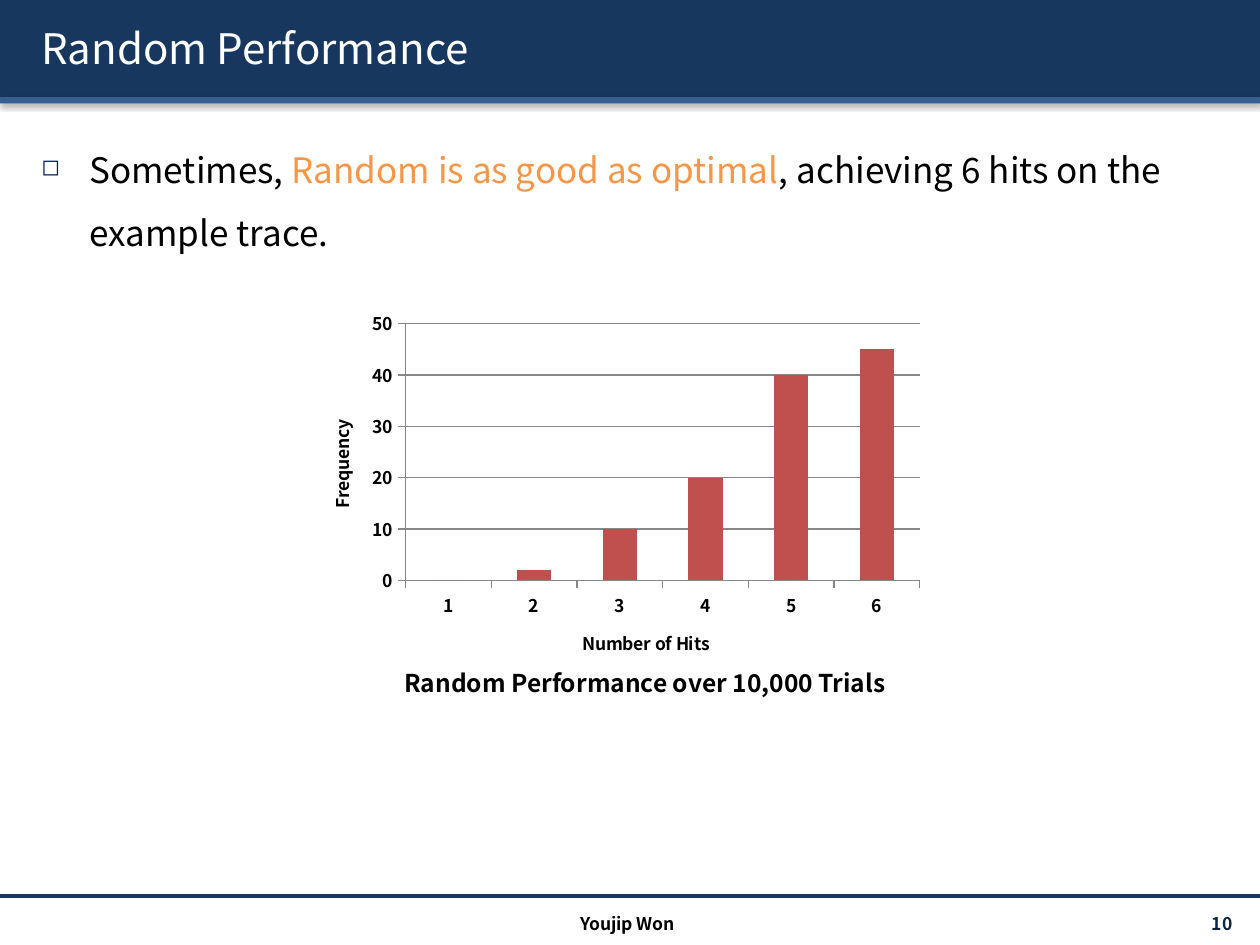
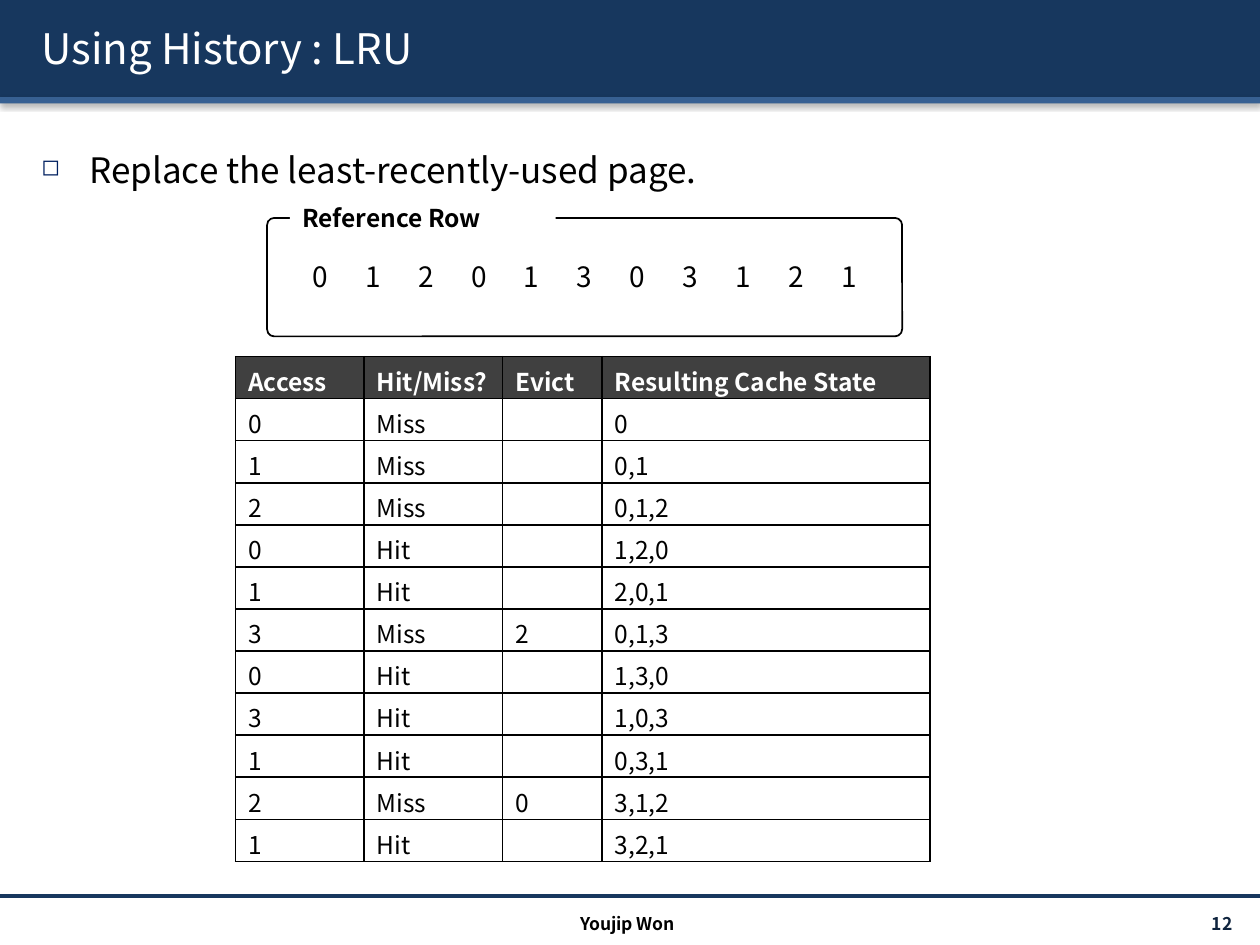
from dataclasses import dataclass
from lxml.etree import SubElement
from pptx import Presentation
from pptx.chart.data import CategoryChartData as ChartData
from pptx.dml.color import RGBColor as RGB
from pptx.enum.chart import XL_CHART_TYPE as Kind, XL_TICK_MARK as Tick
from pptx.enum.shapes import MSO_CONNECTOR as Link, MSO_SHAPE as Form
from pptx.enum.text import MSO_ANCHOR as Anchor, PP_ALIGN as Align
from pptx.oxml.ns import qn
from pptx.util import Inches, Pt


@dataclass(frozen=True)
class Theme:
    face: str = "Noto Sans CJK KR"
    navy: str = "17375E"
    blue: str = "376092"
    mark: str = "002060"
    page: str = "0F243E"
    accent: str = "F79646"
    bar: str = "C0504D"
    grid: str = "878787"
    head: str = "404040"
    black: str = "000000"
    white: str = "FFFFFF"
    title: int = 24
    body: int = 20
    digit: int = 16
    label: int = 14
    small: int = 10


class Deck:
    """Draws slide elements in one shared style."""

    def __init__(self, theme):
        self.theme = theme
        self.show = Presentation()
        self.show.slide_width, self.show.slide_height = Inches(10), Inches(7.5)

    def font(self, font, size, color=None, bold=False):
        font.name, font.size, font.bold = self.theme.face, Pt(size), bold
        font.color.rgb = RGB.from_string(color or self.theme.black)

    def glow(self, parent, blur, dist, angle, alpha):
        list_ = SubElement(parent, qn("a:effectLst"))
        outer = SubElement(list_, qn("a:outerShdw"), blurRad=str(Pt(blur)),
                           dist=str(Pt(dist)), dir=str(angle * 60000))
        tint = SubElement(outer, qn("a:srgbClr"), val=self.theme.black)
        SubElement(tint, qn("a:alpha"), val=str(alpha * 1000))

    def slide(self, title, number):
        t = self.theme
        self.page = self.show.slides.add_slide(self.show.slide_layouts[6])
        for top, high, color in ((0, 0.77, t.navy), (0.77, 0.05, t.blue)):
            band = self.box((0, top, 10, high), color)
            band._element.spPr.remove(band._element.spPr.find(qn("a:effectLst")))
            self.glow(band._element.spPr, 3.1, 1.6, 90, 38)
        self.rule((0, 7.11), (10, 7.11), t.navy, 2)
        para = self.text((0.23, 0.06, 9.61, 0.64), title, t.title, t.white,
                         anchor=Anchor.MIDDLE)
        self.glow(para.runs[0]._r.get_or_add_rPr(), 0, 2, 45, 100)
        self.text((8.71, 7.21, 1.17, 0.24), str(number), t.small, t.page, True,
                  Align.RIGHT, Anchor.MIDDLE)
        self.text((3.32, 7.2, 3.32, 0.24), "Youjip Won", t.small, bold=True,
                  align=Align.CENTER)

    def box(self, area, fill, line=None, form=Form.RECTANGLE):
        shape = self.page.shapes.add_shape(form, *map(Inches, area))
        shape.shadow.inherit = False
        shape.fill.solid()
        shape.fill.fore_color.rgb = RGB.from_string(fill)
        if line:
            shape.line.color.rgb = RGB.from_string(line)
            shape.line.width = Pt(1)
        else:
            shape.line.fill.background()
        return shape

    def rule(self, start, end, color, width):
        line = self.page.shapes.add_connector(
            Link.STRAIGHT, *map(Inches, start + end))
        line.line.color.rgb = RGB.from_string(color)
        line.line.width = Pt(width)
        SubElement(line._element.spPr, qn("a:effectLst"))

    def text(self, area, words, size, color=None, bold=False, align=Align.LEFT,
             anchor=Anchor.TOP, inset=0.1):
        frame = self.page.shapes.add_textbox(*map(Inches, area)).text_frame
        frame.word_wrap = True
        frame.vertical_anchor = anchor
        frame.margin_left = frame.margin_right = Inches(inset)
        para = frame.paragraphs[0]
        para.text, para.alignment = words, align
        self.font(para.font, size, color, bold)
        return para

    def label(self, area, words):
        self.box(area, self.theme.white)
        self.text(area, words, self.theme.label, bold=True)

    def bullet(self, *parts):
        t = self.theme
        para = self.text((0.23, 0.96, 9.61, 6.02), "", t.body)
        props = para._p.get_or_add_pPr()
        props.remove(props.find(qn("a:defRPr")))
        props.set("marL", str(Inches(0.38)))
        props.set("indent", str(-Inches(0.38)))
        tint = SubElement(props, qn("a:buClr"))
        SubElement(tint, qn("a:srgbClr"), val=t.mark)
        SubElement(props, qn("a:buSzPct"), val="65000")
        SubElement(props, qn("a:buChar"), char="◻")
        para.line_spacing = 1.5
        for words, color in parts:
            run = para.add_run()
            run.text = words
            self.font(run.font, t.body, color)

    def chart(self, area, names, values, titles):
        t = self.theme
        data = ChartData()
        data.categories = names
        data.add_series("Series 1", values)
        chart = self.page.shapes.add_chart(
            Kind.COLUMN_CLUSTERED, *map(Inches, area), data).chart
        self.font(chart.font, t.small)
        chart.has_legend = chart.has_title = False
        plot = chart.plots[0]
        plot.gap_width, plot.vary_by_categories = 150, False
        fill = plot.series[0].format.fill
        fill.solid()
        fill.fore_color.rgb = RGB.from_string(t.bar)
        for axis, title in zip((chart.category_axis, chart.value_axis), titles):
            axis.has_title = True
            para = axis.axis_title.text_frame.paragraphs[0]
            para.text = title
            self.font(para.font, t.small, bold=True)
            self.font(para.runs[0].font, t.small, bold=True)
            self.font(axis.tick_labels.font, t.small, bold=True)
            axis.major_tick_mark = Tick.OUTSIDE
            axis.format.line.color.rgb = RGB.from_string(t.grid)
        axis = chart.value_axis
        axis.minimum_scale, axis.maximum_scale, axis.major_unit = 0, 50, 10
        axis.major_gridlines.format.line.color.rgb = RGB.from_string(t.grid)

    def cell(self, cell, words, head):
        t = self.theme
        para = cell.text_frame.paragraphs[0]
        para.text = words
        self.font(para.font, t.label, t.white if head else t.black, head)
        if not words:
            SubElement(para._p, qn("a:endParaRPr"), sz=str(t.label * 100))
        props = cell._tc.get_or_add_tcPr()
        for side in "LRTB":
            edge = SubElement(props, qn(f"a:ln{side}"), w=str(Pt(1)))
            fill = SubElement(edge, qn("a:solidFill"))
            SubElement(fill, qn("a:srgbClr"), val=t.black)
        if head:
            cell.fill.solid()
            cell.fill.fore_color.rgb = RGB.from_string(t.head)
        else:
            cell.fill.background()

    def table(self, left, top, widths, high, rows):
        table = self.page.shapes.add_table(
            len(rows), len(widths), Inches(left), Inches(top),
            Inches(sum(widths)), Inches(high)).table
        table.first_row = table.horz_banding = False
        for col, width in zip(table.columns, widths):
            col.width = Inches(width)
        for i, row in enumerate(rows):
            for j, words in enumerate(row):
                self.cell(table.cell(i, j), words, i == 0)


def trials(deck):
    deck.slide("Random Performance", 10)
    deck.bullet(("Sometimes, ", None),
                ("Random is as good as optimal", deck.theme.accent),
                (", achieving 6 hits on the example trace.", None))
    deck.chart((2.4, 2.41, 5, 3), [str(n) for n in range(1, 7)],
               (0, 2, 10, 20, 40, 45), ("Number of Hits", "Frequency"))
    deck.label((3.11, 5.25, 4.02, 0.34), "Random Performance over 10,000 Trials")


def history(deck):
    t = deck.theme
    refs = "01201303121"
    deck.slide("Using History : LRU", 12)
    deck.bullet(("Replace the least-recently-used page.", None))
    frame = deck.box((2.12, 1.73, 5.04, 0.94), t.white, t.black,
                     Form.ROUNDED_RECTANGLE)
    frame.adjustments[0] = 0.06
    deck.label((2.3, 1.56, 2.11, 0.34), "Reference Row")
    for i, ref in enumerate(refs):
        deck.text((2.3 + 0.42 * i, 2.01, 0.48, 0.37), ref, t.digit,
                  align=Align.CENTER, anchor=Anchor.MIDDLE, inset=0)
    evicts = {5: "2", 9: "0"}
    misses = {0, 1, 2, *evicts}
    states = ("0", "0,1", "0,1,2", "1,2,0", "2,0,1", "0,1,3", "1,3,0", "1,0,3",
              "0,3,1", "3,1,2", "3,2,1")
    rows = [("Access", "Hit/Miss?", "Evict", "Resulting Cache State")]
    for i, (ref, state) in enumerate(zip(refs, states)):
        rows.append((ref, "Miss" if i in misses else "Hit",
                     evicts.get(i, ""), state))
    deck.table(1.87, 2.83, (1.02, 1.1, 0.79, 2.6), 4, rows)


def main():
    deck = Deck(Theme())
    trials(deck)
    history(deck)
    deck.show.save("out.pptx")


if __name__ == "__main__":
    main()
